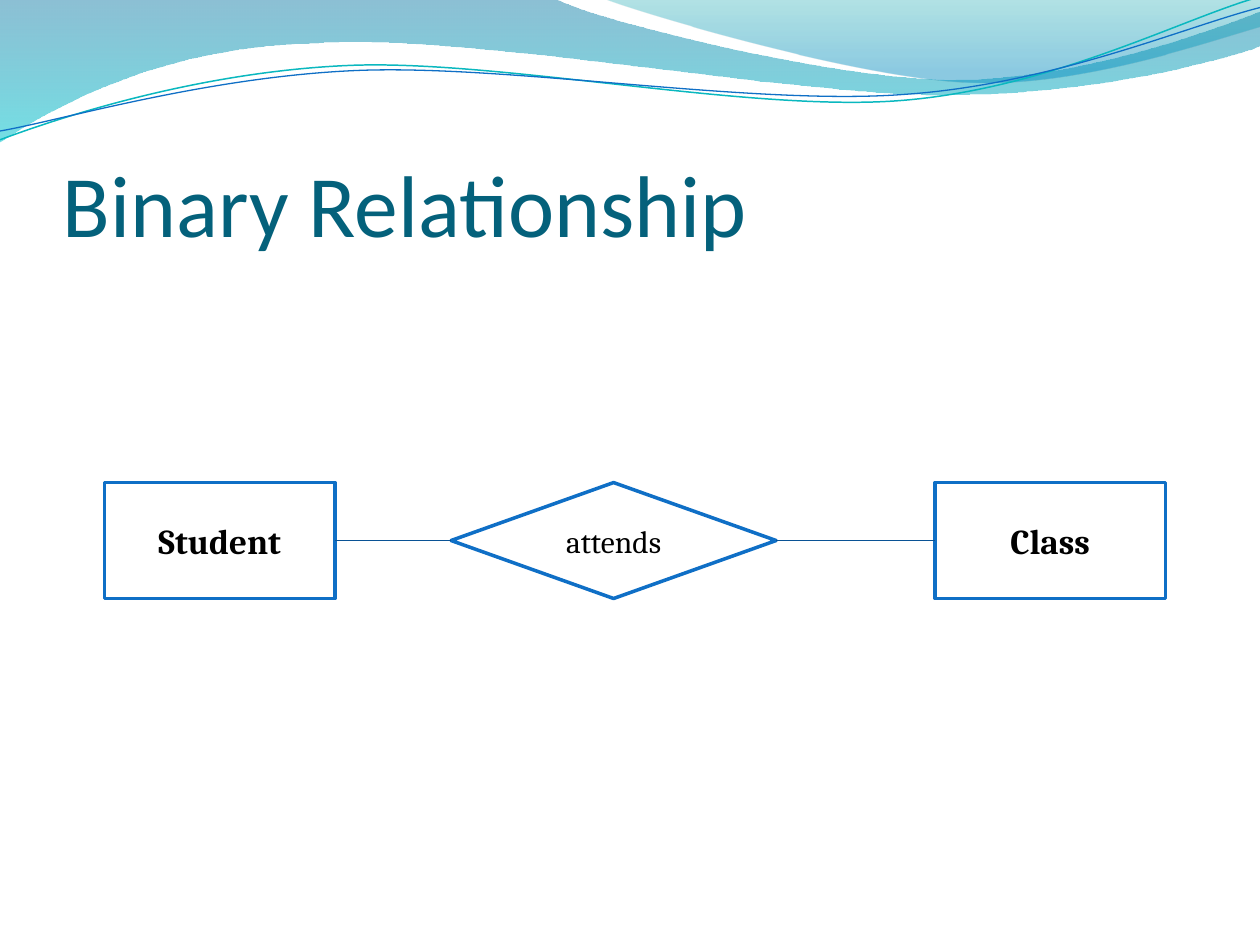
"""Build a slide showing a binary relationship between two entities."""
from lxml.etree import SubElement
from pptx import Presentation
from pptx.dml.color import RGBColor
from pptx.enum.shapes import MSO_CONNECTOR, MSO_SHAPE
from pptx.enum.text import MSO_ANCHOR, PP_ALIGN
from pptx.oxml.ns import qn
from pptx.util import Inches, Pt

COLORS = {name: RGBColor.from_string(value) for name, value in {
    "title": "04617B", "outline": "0F6FC6", "link": "095295", "teal": "0AB8BF",
    "paper": "FFFFFF", "ink": "000000", "deep": "0074A1", "aqua": "00C6CF",
    "sea": "00A1A9", "sky": "008BBF"}.items()}


def add_outline(segments, close):
    """Draw a freeform from points (x, y) and cubic curves (three points)."""
    points = [(Inches(segment[i]), Inches(segment[i + 1]))
              for segment in segments for i in range(0, len(segment), 2)]
    builder = slide.shapes.build_freeform(*points[0])
    builder.add_line_segments(points[1:], close=close)
    outline = builder.convert_to_shape()
    outline.shadow.inherit = False
    sides = outline._element.spPr.iter(qn("a:lnTo"))
    sides = iter(list(sides))
    for segment in segments[1:]:
        side = next(sides)
        if len(segment) == 6:
            curve = side.makeelement(qn("a:cubicBezTo"))
            side.addprevious(curve)
            for corner in (side, next(sides), next(sides)):
                curve.append(corner[0])
                corner.getparent().remove(corner)
    return outline


presentation = Presentation()
presentation.slide_width, presentation.slide_height = Inches(10), Inches(7.5)
slide = presentation.slides.add_slide(presentation.slide_layouts[6])

waves = [
    ([(0, 0), (4.4, -0.01), (4.76, 0.17, 6.64, 0.63, 7.58, 0.63),
      (8.53, 0.63, 9.58, 0.26, 10, 0.09), (10.01, 0.36),
      (9.83, 0.44, 8.7, 0.76, 7.46, 0.75), (6.22, 0.75, 3.82, 0.28, 2.57, 0.34),
      (1.29, 0.36, 0.46, 0.83, -0.01, 1.13)],
     [(0, "deep", 45), (1, "aqua", 55)]),
    ([(4.79, -0.01), (5.09, 0.11, 6.82, 0.62, 7.69, 0.65),
      (8.56, 0.69, 9.61, 0.32, 10, 0.21), (10, 0)],
     [(0, "sea", 30), (0.8, "sky", 45)]),
]
for segments, shades in waves:
    wave = add_outline(segments, True)
    wave.line.fill.background()
    wave.fill.gradient()
    wave.fill.gradient_angle = 270
    for stop, (position, color, _) in zip(wave.fill.gradient_stops, shades):
        stop.position = position
        stop.color.rgb = COLORS[color]
    tints = wave._element.spPr.iter(qn("a:srgbClr"))
    for tint, (_, _, opacity) in zip(tints, shades):
        SubElement(tint, qn("a:alpha")).set("val", str(opacity * 1000))

strands = [
    ([(0, 1.11), (0.48, 0.93, 1.58, 0.57, 2.77, 0.52),
      (3.95, 0.47, 5.93, 0.89, 7.13, 0.8), (8.33, 0.71, 9.38, 0.15, 9.98, -0.02)],
     "teal", 0.85),
    ([(0, 1.04), (0.47, 0.96, 1.64, 0.61, 2.83, 0.56),
      (4.03, 0.51, 5.97, 0.84, 7.17, 0.75), (8.36, 0.67, 9.41, 0.21, 10, 0.06)],
     "outline", 0.75),
]
for segments, color, width in strands:
    strand = add_outline(segments, False)
    strand.fill.background()
    strand.line.color.rgb = COLORS[color]
    strand.line.width = Pt(width)

title = slide.shapes.add_textbox(Inches(0.5), Inches(0.77), Inches(9), Inches(1.25)).text_frame
title.word_wrap = True
title.vertical_anchor = MSO_ANCHOR.BOTTOM
title.margin_left = title.margin_right = title.margin_bottom = 0
title.margin_top = Inches(0.05)
heading = title.paragraphs[0]
heading.text = "Binary Relationship"
heading.font.name, heading.font.size = "Calibri", Pt(50)
heading.font.color.rgb = COLORS["title"]

parts = {}
for label, preset, left, width, size, bold in [
        ("Student", MSO_SHAPE.RECTANGLE, 0.83, 1.83, 20, True),
        ("Class", MSO_SHAPE.RECTANGLE, 7.42, 1.83, 20, True),
        ("attends", MSO_SHAPE.FLOWCHART_DECISION, 3.58, 2.58, 18, False)]:
    part = slide.shapes.add_shape(preset, Inches(left), Inches(3.83), Inches(width), Inches(0.92))
    part.shadow.inherit = False
    part.fill.solid()
    part.fill.fore_color.rgb = COLORS["paper"]
    part.line.color.rgb = COLORS["outline"]
    part.line.width = Pt(2)
    part.text_frame.vertical_anchor = MSO_ANCHOR.MIDDLE
    caption = part.text_frame.paragraphs[0]
    caption.text = label
    caption.alignment = PP_ALIGN.CENTER
    caption.font.name, caption.font.size, caption.font.bold = "Cambria", Pt(size), bold
    caption.font.color.rgb = COLORS["ink"]
    parts[label] = part

for start, end in [("attends", "Class"), ("Student", "attends")]:
    link = slide.shapes.add_connector(MSO_CONNECTOR.STRAIGHT, 0, 0, 0, 0)
    link.begin_connect(parts[start], 3)
    link.end_connect(parts[end], 1)
    link.line.color.rgb = COLORS["link"]
    link.line.width = Pt(0.75)
    SubElement(link._element.spPr, qn("a:effectLst"))

presentation.save("out.pptx")
